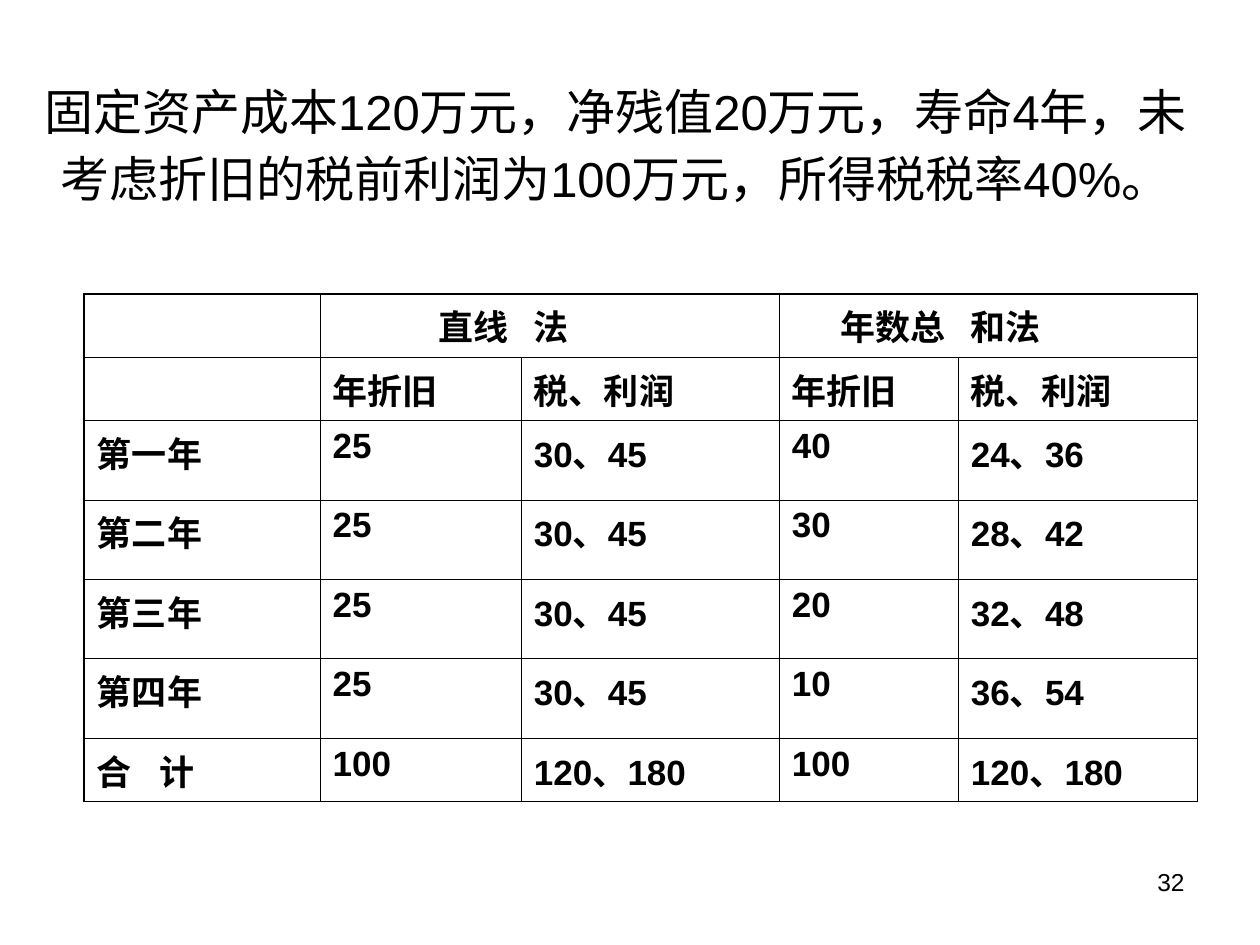
"""Build a slide comparing two depreciation methods year by year."""
import lxml.etree
import pptx
import pptx.dml.color
import pptx.enum.text
import pptx.oxml.ns
import pptx.util

Cm = pptx.util.Cm
Pt = pptx.util.Pt
ALIGN = pptx.enum.text.PP_ALIGN
ANCHOR = pptx.enum.text.MSO_ANCHOR

BLACK = pptx.dml.color.RGBColor(0, 0, 0)

TITLE = "固定资产成本120万元，净残值20万元，寿命4年，未考虑折旧的税前利润为100万元，所得税税率40%。"
PAGE_NUMBER = "32"
TABLE_ROWS = [
    ("", "直线", "法", "年数总", "和法"),
    ("", "年折旧", "税、利润", "年折旧", "税、利润"),
    ("第一年", "25", "30、45", "40", "24、36"),
    ("第二年", "25", "30、45", "30", "28、42"),
    ("第三年", "25", "30、45", "20", "32、48"),
    ("第四年", "25", "30、45", "10", "36、54"),
    ("合 计", "100", "120、180", "100", "120、180"),
]
COLUMN_WIDTHS = [4.75, 4.06, 5.2, 3.61, 4.82]
ROW_HEIGHTS = [1.22, 1.22, 1.6, 1.6, 1.6, 1.6, 1.22]
SPLIT_HEADING_STARTS = (1, 3)
TOTAL_LABEL_SPACING = 550
THIN, THICK = Pt(0.45), Pt(1.08)

TITLE_FONT = {"name": "Arial", "size": Pt(28), "bold": False}
TABLE_FONT = {"name": "Arial", "size": Pt(20), "bold": True}
NUMBER_FONT = {"name": "Arial", "size": Pt(14), "bold": False}
TITLE_BOX = {"left": Cm(0.51), "top": Cm(1.12), "width": Cm(23.8), "height": Cm(3.4)}
TITLE_FRAME = {"word_wrap": True, "vertical_anchor": ANCHOR.MIDDLE,
               "auto_size": pptx.enum.text.MSO_AUTO_SIZE.NONE}


def apply_format(target, values):
    for name, value in values.items():
        setattr(target, name, value)


def write_text(text_frame, text, font_values, alignment):
    paragraph = text_frame.paragraphs[0]
    paragraph.alignment = alignment
    run = paragraph.add_run()
    run.text = text
    apply_format(run.font, font_values)
    run.font.color.rgb = BLACK
    return paragraph


def set_borders(cell, widths):
    properties = cell._tc.get_or_add_tcPr()
    for position, (side, width) in enumerate(widths.items()):
        line = lxml.etree.Element(pptx.oxml.ns.qn(f"a:ln{side}"), w=str(int(width or 0)))
        if width:
            fill = lxml.etree.SubElement(line, pptx.oxml.ns.qn("a:solidFill"))
            lxml.etree.SubElement(fill, pptx.oxml.ns.qn("a:srgbClr"), val=str(BLACK))
        else:
            lxml.etree.SubElement(line, pptx.oxml.ns.qn("a:noFill"))
        properties.insert(position, line)


def border_widths(row, column):
    last_row, last_column = len(TABLE_ROWS) - 1, len(COLUMN_WIDTHS) - 1
    widths = {
        "L": THICK if column == 0 else THIN,
        "R": THICK if column == last_column else THIN,
        "T": THICK if row == 0 else THIN,
        "B": THICK if row == last_row and column != 3 else THIN,
    }
    if row == 0 and column in SPLIT_HEADING_STARTS:
        widths["R"] = None
    if row == 0 and column - 1 in SPLIT_HEADING_STARTS:
        widths["L"] = None
    return widths


def add_depreciation_table(slide):
    table = slide.shapes.add_table(
        len(TABLE_ROWS), len(COLUMN_WIDTHS), Cm(1.7), Cm(5.92),
        Cm(sum(COLUMN_WIDTHS)), Cm(sum(ROW_HEIGHTS))).table
    apply_format(table, {"first_row": False, "horz_banding": False})
    for column, width in zip(table.columns, COLUMN_WIDTHS):
        column.width = Cm(width)
    for row, height in zip(table.rows, ROW_HEIGHTS):
        row.height = Cm(height)
    for row, texts in enumerate(TABLE_ROWS):
        for column, text in enumerate(texts):
            cell = table.cell(row, column)
            cell.fill.background()
            set_borders(cell, border_widths(row, column))
            if text:
                split_start = row == 0 and column in SPLIT_HEADING_STARTS
                write_text(cell.text_frame, text, TABLE_FONT,
                           ALIGN.RIGHT if split_start else ALIGN.LEFT)
    total_label = table.cell(len(TABLE_ROWS) - 1, 0).text_frame.paragraphs[0].runs[0]
    total_label._r.get_or_add_rPr().set("spc", str(TOTAL_LABEL_SPACING))


def main():
    presentation = pptx.Presentation()
    apply_format(presentation, {"slide_width": Cm(25.4), "slide_height": Cm(19.05)})
    slide = presentation.slides.add_slide(presentation.slide_layouts[5])

    title = slide.shapes.title
    apply_format(title, TITLE_BOX)
    apply_format(title.text_frame, TITLE_FRAME)
    paragraph = write_text(title.text_frame, TITLE, TITLE_FONT, ALIGN.CENTER)
    paragraph.line_spacing = 1.15

    add_depreciation_table(slide)

    number_box = slide.shapes.add_textbox(Cm(18.2), Cm(17.35), Cm(5.93), Cm(1.32))
    number_box.text_frame.word_wrap = True
    write_text(number_box.text_frame, PAGE_NUMBER, NUMBER_FONT, ALIGN.RIGHT)

    presentation.save("out.pptx")


if __name__ == "__main__":
    main()
